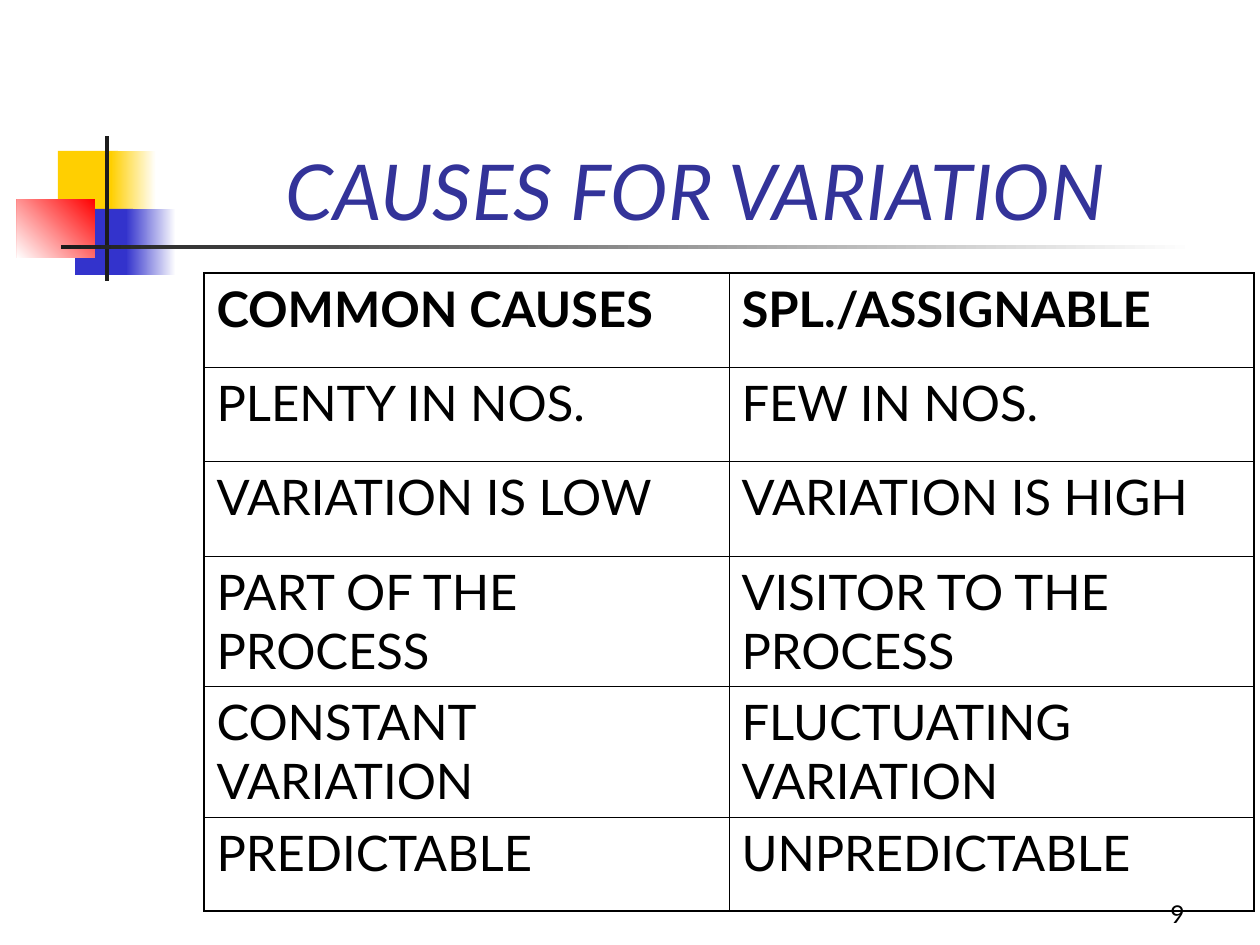
from lxml import etree
from pptx import Presentation
from pptx.dml.color import RGBColor
from pptx.enum.shapes import MSO_SHAPE
from pptx.enum.text import MSO_ANCHOR, MSO_AUTO_SIZE, PP_ALIGN
from pptx.oxml.ns import qn
from pptx.util import Pt

RECT = MSO_SHAPE.RECTANGLE
BOTTOM = MSO_ANCHOR.BOTTOM
FIXED = MSO_AUTO_SIZE.NONE
CENTER, RIGHT = PP_ALIGN.CENTER, PP_ALIGN.RIGHT

WHITE = RGBColor(0xFF, 0xFF, 0xFF)
BLACK = RGBColor(0, 0, 0)
DARK = RGBColor(0x1C, 0x1C, 0x1C)
YELLOW = RGBColor(0xFF, 0xCF, 0x01)
BLUE = RGBColor(0x33, 0x33, 0xCC)
RED = RGBColor(0xFF, 0, 0)
NAVY = RGBColor(0x33, 0x33, 0x99)

FONT = "Lato"
EMU = 914400 / 126
THICK, THIN = Pt(1.08), Pt(0.45)

TITLE = "CAUSES FOR VARIATION"
NUMBER = "9"
ROWS = [
    ("COMMON CAUSES", "SPL./ASSIGNABLE"),
    ("PLENTY IN NOS.", "FEW IN NOS."),
    ("VARIATION IS LOW", "VARIATION IS HIGH"),
    ("PART OF THE PROCESS", "VISITOR TO THE PROCESS"),
    ("CONSTANT VARIATION", "FLUCTUATING VARIATION"),
    ("PREDICTABLE", "UNPREDICTABLE"),
]
HEIGHTS = [94, 94, 95, 130, 131, 94]
COLUMN = 525
BLOCKS = [
    ((58, 151, 60, 66), (YELLOW,), 0),
    ((111, 151, 45, 66), (WHITE, YELLOW), 180),
    ((75, 209, 58, 66), (BLUE,), 0),
    ((126, 209, 50, 66), (WHITE, BLUE), 180),
    ((17, 199, 78, 59), (RED, WHITE), 225),
    ((105, 136, 4, 145), (DARK,), 0),
    ((61, 245, 1134, 4), (WHITE, DARK), 180),
]


def px(n):
    return round(n * EMU)


def style(para, size, color):
    para.font.name = FONT
    para.font.size = Pt(size)
    para.font.color.rgb = color


def block(box, colors, angle):
    shape = slide.shapes.add_shape(RECT, *map(px, box))
    shape.shadow.inherit = False
    shape.line.fill.background()
    if len(colors) == 1:
        shape.fill.solid()
        shape.fill.fore_color.rgb = colors[0]
        return
    shape.fill.gradient()
    shape.fill.gradient_angle = angle
    for stop, color in zip(shape.fill.gradient_stops, colors):
        stop.color.rgb = color


def border(cell, row, col):
    edges = {
        "L": col == 0,
        "R": col == len(ROWS[0]) - 1,
        "T": row == 0,
        "B": row == len(ROWS) - 1,
    }
    props = cell._tc.get_or_add_tcPr()
    for side, outer in edges.items():
        line = etree.SubElement(props, qn(f"a:ln{side}"), w=str(THICK if outer else THIN))
        fill = etree.SubElement(line, qn("a:solidFill"))
        etree.SubElement(fill, qn("a:srgbClr"), val=str(BLACK))


deck = Presentation()
deck.slide_width, deck.slide_height = px(1260), px(945)
slide = deck.slides.add_slide(deck.slide_layouts[5])

for item in BLOCKS:
    block(*item)

title = slide.shapes.title
title.left, title.top, title.width, title.height = map(px, (159, 159, 1073, 83))
frame = title.text_frame
frame.text = TITLE
frame.auto_size = FIXED
frame.vertical_anchor = BOTTOM
para = frame.paragraphs[0]
para.alignment = CENTER
para.font.italic = True
style(para, 44, NAVY)

box = (204, 273, COLUMN * len(ROWS[0]), sum(HEIGHTS))
table = slide.shapes.add_table(len(ROWS), len(ROWS[0]), *map(px, box)).table
table.first_row = table.horz_banding = False
for column in table.columns:
    column.width = px(COLUMN)
for r, (texts, height) in enumerate(zip(ROWS, HEIGHTS)):
    table.rows[r].height = px(height)
    for c, text in enumerate(texts):
        cell = table.cell(r, c)
        cell.text = text
        para = cell.text_frame.paragraphs[0]
        para.space_before = Pt(7)
        para.font.bold = r == 0
        style(para, 28, BLACK)
        border(cell, r, c)
        cell.fill.background()

frame = slide.shapes.add_textbox(*map(px, (935, 872, 262, 63))).text_frame
frame.word_wrap = True
frame.vertical_anchor = BOTTOM
frame.text = NUMBER
para = frame.paragraphs[0]
para.alignment = RIGHT
style(para, 14, BLACK)

deck.save("out.pptx")
